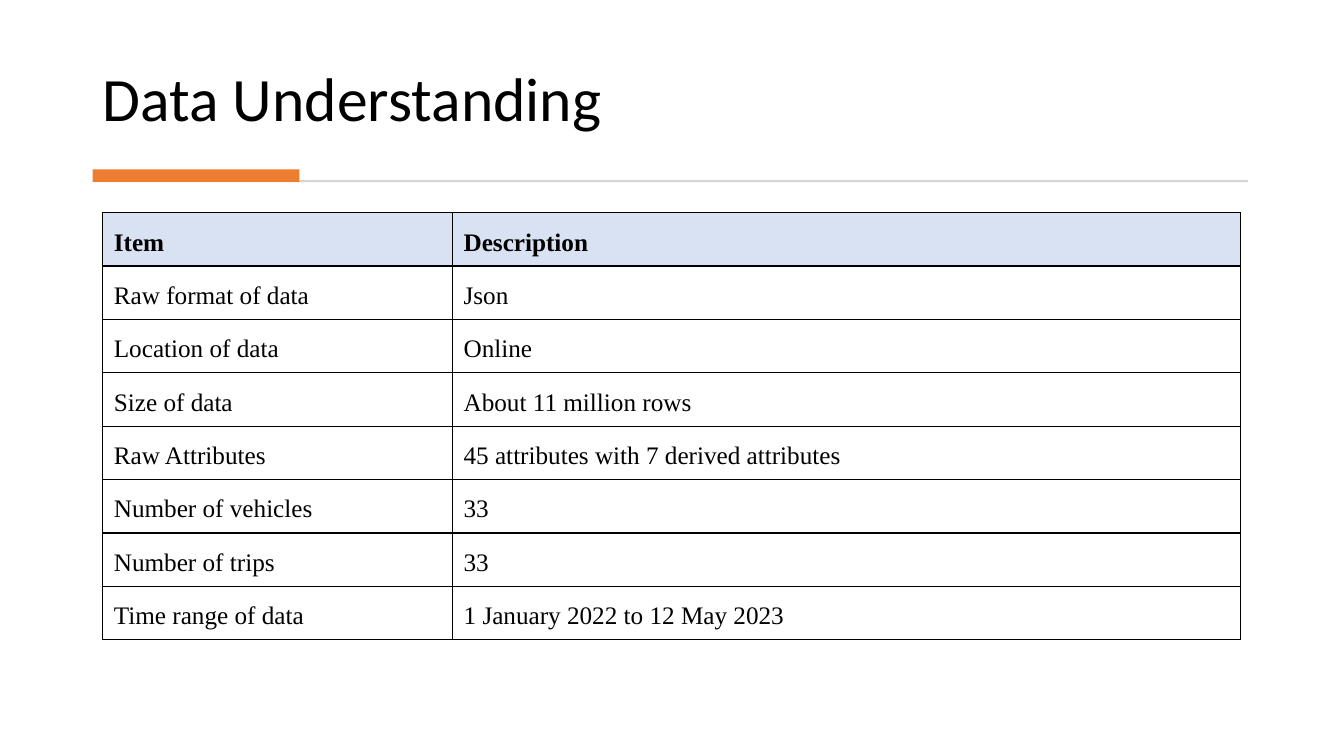
from lxml.etree import SubElement
from pptx import Presentation
from pptx.dml.color import RGBColor
from pptx.enum.shapes import MSO_SHAPE
from pptx.enum.text import MSO_ANCHOR, PP_ALIGN
from pptx.oxml.ns import qn
from pptx.util import Pt

BLACK = RGBColor(0x00, 0x00, 0x00)
GRAY = RGBColor(0xD5, 0xD5, 0xD5)
ORANGE = RGBColor(0xED, 0x7D, 0x31)
HEADER_BLUE = RGBColor(0xD9, 0xE2, 0xF3)

COLUMN_WIDTHS = (249.84, 563.04)
ROW_HEIGHT = 38.15
ROWS = (
    ("Item", "Description"),
    ("Raw format of data", "Json"),
    ("Location of data", "Online"),
    ("Size of data", "About 11 million rows"),
    ("Raw Attributes", "45 attributes with 7 derived attributes"),
    ("Number of vehicles", "33"),
    ("Number of trips", "33"),
    ("Time range of data", "1 January 2022 to 12 May 2023"),
)


def format_title(title, text):
    title.left, title.top = Pt(66.24), Pt(20.16)
    title.width, title.height = Pt(827.28), Pt(79.92)
    frame = title.text_frame
    frame.text = text
    frame.vertical_anchor = MSO_ANCHOR.BOTTOM
    paragraph = frame.paragraphs[0]
    paragraph.alignment = PP_ALIGN.LEFT
    paragraph.line_spacing = 0.9
    paragraph.font.name = "Calibri"
    paragraph.font.size = Pt(44)
    paragraph.font.color.rgb = BLACK


def add_bar(slide, left, top, width, height, color):
    bar = slide.shapes.add_shape(
        MSO_SHAPE.RECTANGLE, Pt(left), Pt(top), Pt(width), Pt(height))
    bar.shadow.inherit = False
    bar.fill.solid()
    bar.fill.fore_color.rgb = color
    bar.line.fill.background()


def add_cell_borders(cell):
    """Draw a thin black line on all four sides, placed before the fill."""
    properties = cell._tc.get_or_add_tcPr()
    for side in ("lnL", "lnR", "lnT", "lnB"):
        line = SubElement(properties, qn(f"a:{side}"), w=str(Pt(1)))
        fill = SubElement(line, qn("a:solidFill"))
        SubElement(fill, qn("a:srgbClr"), val=str(BLACK))


def format_cell(cell, text, is_header):
    cell.text = text
    cell.margin_left = cell.margin_right = Pt(7.92)
    cell.margin_top, cell.margin_bottom = Pt(1.44), Pt(0)
    add_cell_borders(cell)
    if is_header:
        cell.fill.solid()
        cell.fill.fore_color.rgb = HEADER_BLUE
    else:
        cell.fill.background()
    paragraph = cell.text_frame.paragraphs[0]
    paragraph.alignment = PP_ALIGN.JUSTIFY
    paragraph.line_spacing = 1.5
    paragraph.font.name = "Times New Roman"
    paragraph.font.size = Pt(18)
    paragraph.font.bold = is_header
    paragraph.font.color.rgb = BLACK


def add_data_table(slide, left, top):
    table = slide.shapes.add_table(
        len(ROWS), len(COLUMN_WIDTHS), Pt(left), Pt(top),
        Pt(sum(COLUMN_WIDTHS)), Pt(ROW_HEIGHT * len(ROWS))).table
    table.horz_banding = False
    for column, width in zip(table.columns, COLUMN_WIDTHS):
        column.width = Pt(width)
    for row_index, texts in enumerate(ROWS):
        table.rows[row_index].height = Pt(ROW_HEIGHT)
        for column_index, text in enumerate(texts):
            format_cell(table.cell(row_index, column_index), text, row_index == 0)


def main():
    presentation = Presentation()
    presentation.slide_width, presentation.slide_height = Pt(960), Pt(540)
    slide = presentation.slides.add_slide(presentation.slide_layouts[5])
    format_title(slide.shapes.title, "Data Understanding")
    add_bar(slide, 68.4, 128.6, 822.96, 1.44, GRAY)
    add_bar(slide, 66.24, 121.1, 147.6, 8.9, ORANGE)
    add_data_table(slide, 73.44, 151.92)
    presentation.save("out.pptx")


if __name__ == "__main__":
    main()
